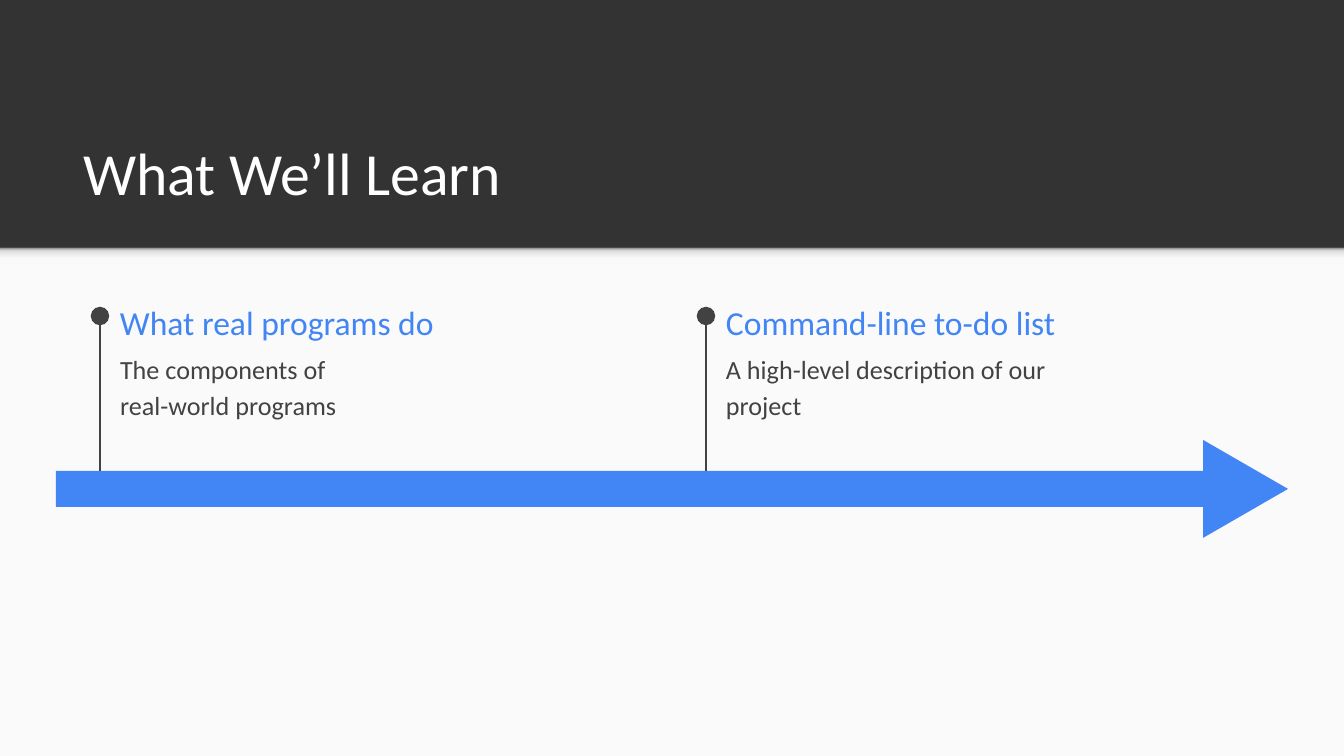
import copy

import pptx
import pptx.dml.color
import pptx.enum.shapes
import pptx.enum.text
import pptx.oxml.ns
import pptx.util
from lxml import etree

SLIDE_WIDTH, SLIDE_HEIGHT = 1344, 756
PX = pptx.util.Inches(10) / SLIDE_WIDTH
FONT = "Calibri"
WHITE, PALE, DARK, GREY, BLUE = "FFFFFF", "FAFAFA", "333333", "424242", "4285F4"
SHADE_STOPS = [(0, "F9F9F9"), (0.36, "F9F9F9"), (0.8, "DEDEDE"), (1, "999999")]
TOPICS = [
    (100, 481, 266, "What real programs do", "The components of real-world programs"),
    (706, 487, 409, "Command-line to-do list", "A high-level description of our project"),
]
qn = pptx.oxml.ns.qn
SHAPE = pptx.enum.shapes.MSO_SHAPE
ANCHOR = pptx.enum.text.MSO_ANCHOR


def px(length):
    return pptx.util.Emu(round(length * PX))


def rgb(color):
    return pptx.dml.color.RGBColor.from_string(color)


def add_block(slide, kind, box, color):
    block = slide.shapes.add_shape(kind, *map(px, box))
    block.shadow.inherit = False
    block.fill.solid()
    block.fill.fore_color.rgb = rgb(color)
    block.line.fill.background()
    return block


def write(holder, text, size, color, anchor):
    frame = holder.text_frame
    frame.text = text
    frame.word_wrap = True
    frame.auto_size = pptx.enum.text.MSO_AUTO_SIZE.NONE
    frame.vertical_anchor = anchor
    frame.margin_left = frame.margin_right = px(13)
    frame.margin_top = frame.margin_bottom = px(13)
    paragraph = frame.paragraphs[0]
    paragraph.alignment = pptx.enum.text.PP_ALIGN.LEFT
    font = paragraph.runs[0].font
    font.name = FONT
    font.size = pptx.util.Pt(size)
    font.color.rgb = rgb(color)
    return paragraph


def add_text(slide, box, text, size, color, anchor):
    holder = slide.shapes.add_textbox(*map(px, box))
    return write(holder, text, size, color, anchor)


def add_page(slide, left, top, width, height):
    add_block(slide, SHAPE.RECTANGLE, (left, top, width, height), PALE)
    shade = add_block(slide, SHAPE.RECTANGLE, (left, top, width, 16), PALE)
    shade.fill.gradient()
    shade.fill.gradient_angle = 90
    stop_list = shade.element.spPr.find(".//" + qn("a:gsLst"))
    for _ in range(len(SHADE_STOPS) - len(stop_list)):
        stop_list.append(copy.deepcopy(stop_list[0]))
    for stop, (position, color) in zip(shade.fill.gradient_stops, SHADE_STOPS):
        stop.position = position
        stop.color.rgb = rgb(color)


def add_title(slide, left, top, width, height):
    title = slide.shapes.title
    title.left, title.top, title.width, title.height = map(px, (left, top, width, height))
    write(title, "What We’ll Learn", 32, WHITE, ANCHOR.BOTTOM)


def add_topic(slide, left, top, bottom, summary_width, heading, summary):
    stem = slide.shapes.add_connector(
        pptx.enum.shapes.MSO_CONNECTOR.STRAIGHT, *map(px, (left, bottom, left, top))
    )
    stem.line.color.rgb = rgb(GREY)
    stem.line.width = pptx.util.Pt(0.75)
    outline = stem.element.spPr.find(qn("a:ln"))
    etree.SubElement(outline, qn("a:tailEnd"), type="oval", w="lg", len="lg")
    etree.SubElement(stem.element.spPr, qn("a:effectLst"))

    text_left = left + 7
    add_text(slide, (text_left, top - 23, 409, 58), heading, 18, BLUE, ANCHOR.MIDDLE)
    paragraph = add_text(
        slide, (text_left, top + 20, summary_width, 85), summary, 14, GREY, ANCHOR.TOP
    )
    paragraph.line_spacing = 1.15
    paragraph.space_after = pptx.util.Pt(16)


def add_timeline(slide, left, top, width, height):
    head_length, bar_height = 85, 36
    head_left = left + width - head_length
    inset = (height - head_length) / 2
    head_box = (head_left - inset, top + inset, height, head_length)
    head = add_block(slide, SHAPE.ISOSCELES_TRIANGLE, head_box, BLUE)
    head.rotation = 90
    bar_box = (left, top + (height - bar_height) / 2, 1161, bar_height)
    add_block(slide, SHAPE.RECTANGLE, bar_box, BLUE)


def main():
    deck = pptx.Presentation()
    deck.slide_width, deck.slide_height = px(SLIDE_WIDTH), px(SLIDE_HEIGHT)
    slide = deck.slides.add_slide(deck.slide_layouts[5])
    slide.background.fill.solid()
    slide.background.fill.fore_color.rgb = rgb(DARK)

    add_page(slide, 0, 248, SLIDE_WIDTH, SLIDE_HEIGHT - 248)
    add_title(slide, 70, 108, 1208, 113)
    for left, bottom, summary_width, heading, summary in TOPICS:
        add_topic(slide, left, 316, bottom, summary_width, heading, summary)
    add_timeline(slide, 56, 440, 1232, 98)
    deck.save("out.pptx")


if __name__ == "__main__":
    main()
